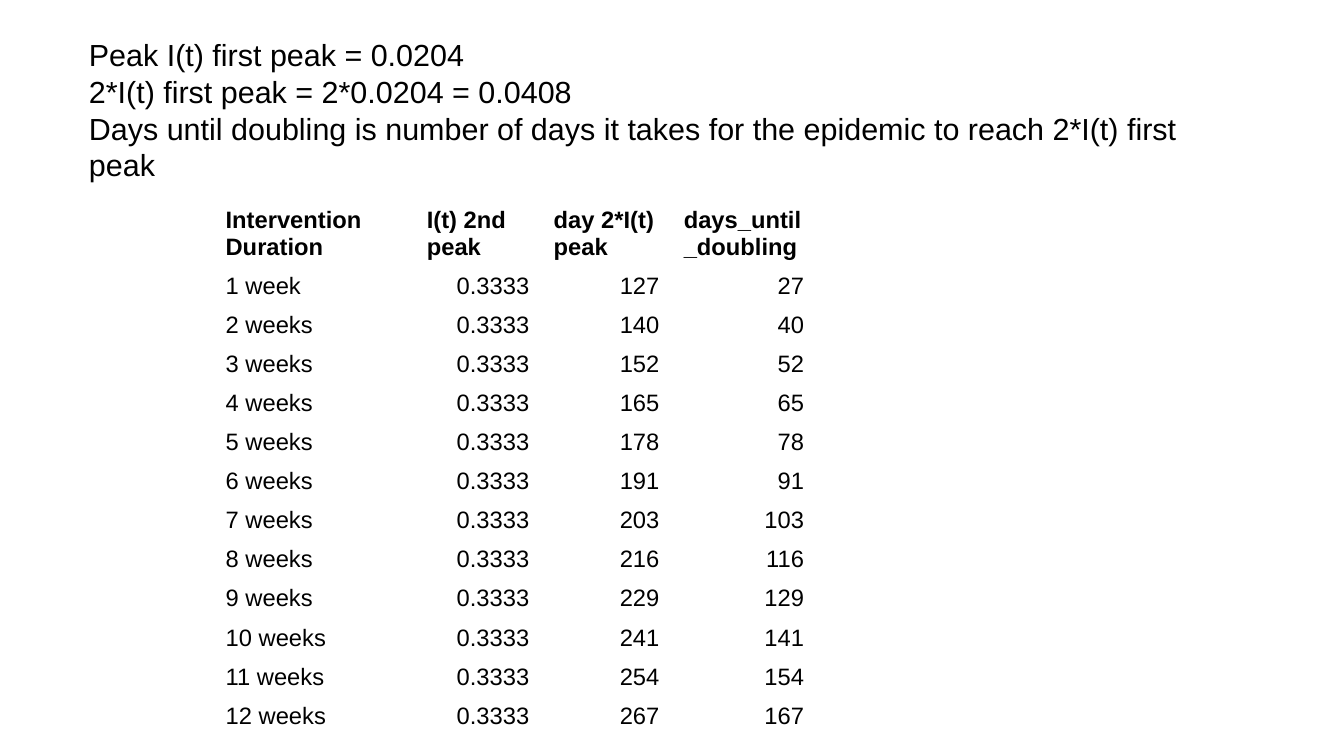
import pptx
import pptx.util
import pptx.dml.color
import pptx.enum.text
import pptx.oxml
import pptx.oxml.ns

Pt = pptx.util.Pt
ALIGN = pptx.enum.text.PP_ALIGN
BLACK, WHITE = "000000", "FFFFFF"

NOTES = [
    "Peak I(t) first peak = 0.0204",
    "2*I(t) first peak = 2*0.0204 = 0.0408",
    "Days until doubling is number of days it takes for the epidemic "
    "to reach 2*I(t) first peak",
]
HEADINGS = ["Intervention Duration", "I(t) 2nd peak", "day 2*I(t) peak",
            "days_until_doubling"]
SECOND_PEAK = "0.3333"
DOUBLING_DAYS = [127, 140, 152, 165, 178, 191, 203, 216, 229, 241, 254, 267]
START_DAY = 100  # doubling is counted from this day
COLUMN_WIDTHS = [118.8, 74.9, 76.8, 85.4]
HEADING_HEIGHT, ROW_HEIGHT = 38.7, 23.1


def color(value):
    return pptx.dml.color.RGBColor.from_string(value)


def add_span(para, text, size, bold=False):
    span = para.add_run()
    span.text = text
    span.font.name = "Arial"
    span.font.size = Pt(size)
    span.font.bold = bold
    span.font.color.rgb = color(BLACK)


def add_borders(cell, line_color, width):
    properties = cell._tc.get_or_add_tcPr()
    for position, side in enumerate(("lnL", "lnR", "lnT", "lnB")):
        # Border lines come before the cell fill
        properties.insert(position, pptx.oxml.parse_xml(
            f'<a:{side} {pptx.oxml.ns.nsdecls("a")} w="{Pt(width)}">'
            f'<a:solidFill><a:srgbClr val="{line_color}"/></a:solidFill>'
            f'</a:{side}>'))


def add_notes(page, left, top, width, height):
    box = page.shapes.add_textbox(Pt(left), Pt(top), Pt(width), Pt(height))
    frame = box.text_frame
    frame.word_wrap = True
    for index, text in enumerate(NOTES):
        para = frame.add_paragraph() if index else frame.paragraphs[0]
        add_span(para, text, 18)


def add_doubling_table(page, left, top):
    # Table contents
    rows = [HEADINGS]
    for weeks, day in enumerate(DOUBLING_DAYS, start=1):
        duration = "1 week" if weeks == 1 else f"{weeks} weeks"
        rows.append([duration, SECOND_PEAK, str(day), str(day - START_DAY)])

    # Grid
    height = HEADING_HEIGHT + ROW_HEIGHT * len(DOUBLING_DAYS)
    table = page.shapes.add_table(
        len(rows), len(HEADINGS), Pt(left), Pt(top),
        Pt(sum(COLUMN_WIDTHS)), Pt(height)).table
    table.horz_banding = False
    for column, width in zip(table.columns, COLUMN_WIDTHS):
        column.width = Pt(width)

    # Cells
    for row_index, texts in enumerate(rows):
        heading = row_index == 0
        table.rows[row_index].height = Pt(HEADING_HEIGHT if heading else ROW_HEIGHT)
        for column_index, text in enumerate(texts):
            cell = table.cell(row_index, column_index)
            cell.fill.background()
            add_borders(cell, WHITE, 0.06)
            para = cell.text_frame.paragraphs[0]
            if column_index and not heading:
                para.alignment = ALIGN.RIGHT
            add_span(para, text, 14, bold=heading)


deck = pptx.Presentation()
deck.slide_width, deck.slide_height = Pt(793.44), Pt(446.4)
page = deck.slides.add_slide(deck.slide_layouts[6])
add_doubling_table(page, 126, 118.8)
add_notes(page, 45.4, 18, 699.8, 67.7)
deck.save("out.pptx")
